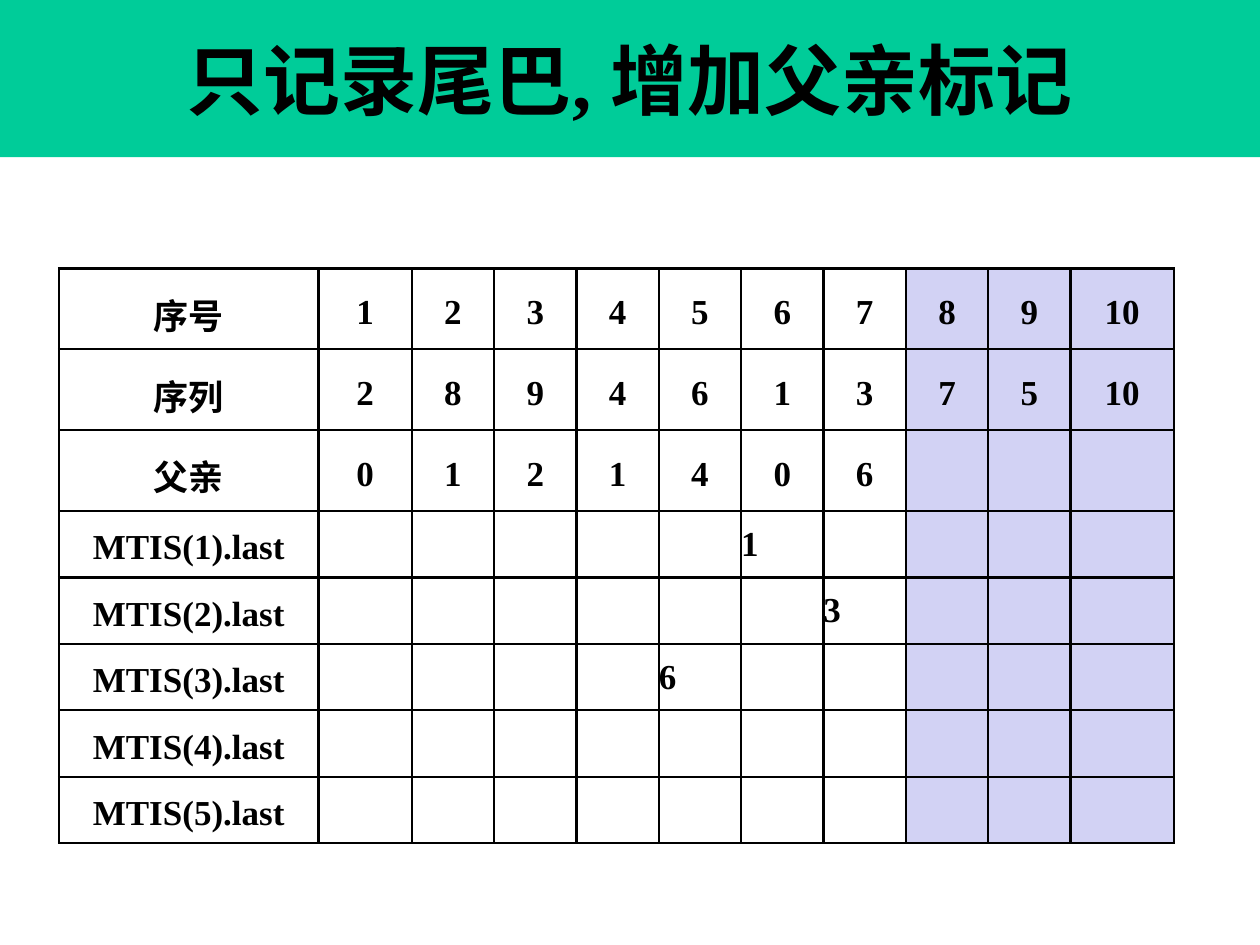
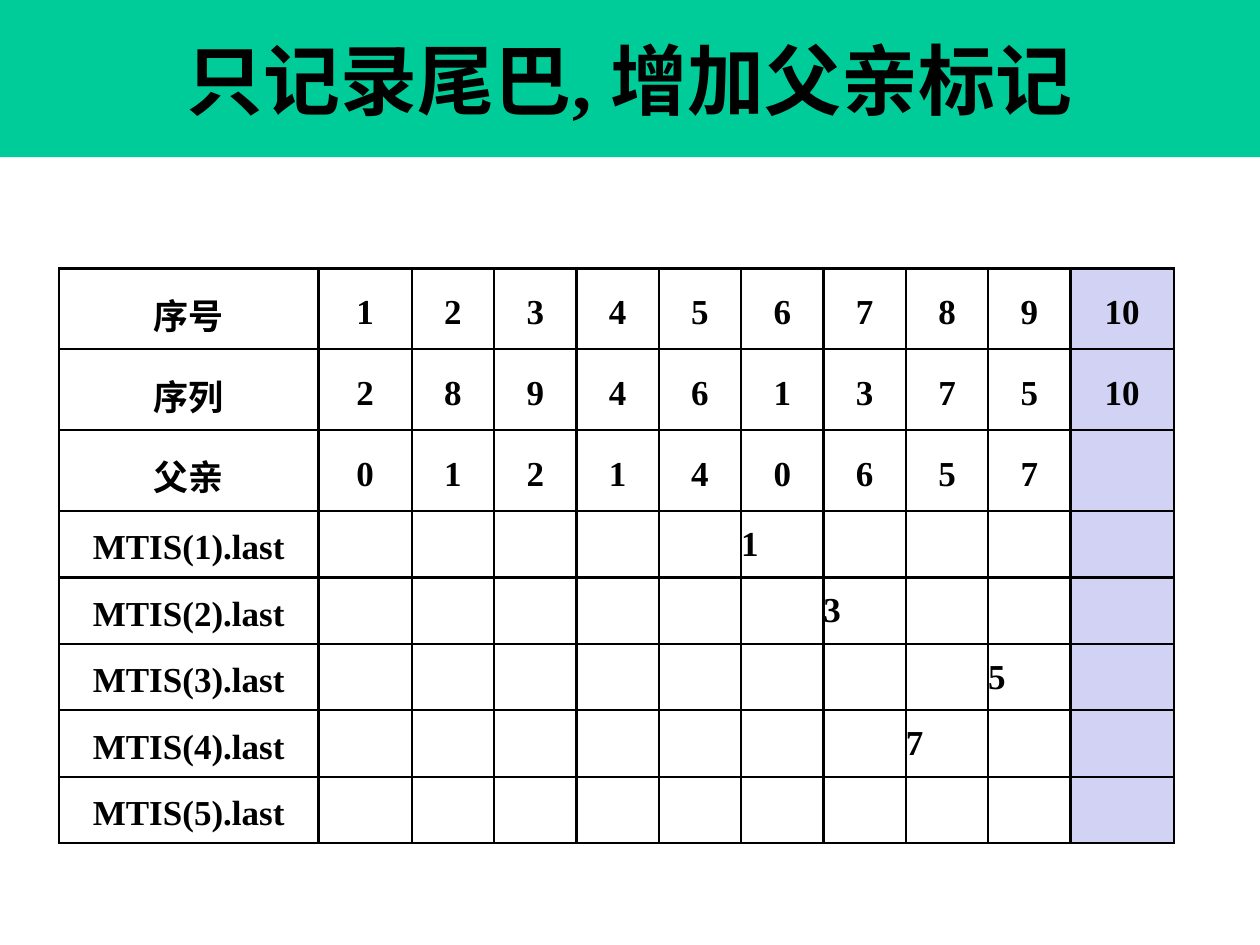
import pptx
import pptx.dml.color
import pptx.enum.shapes
import pptx.enum.text
import pptx.util
from lxml import etree
from pptx.oxml.ns import qn
from pptx.util import Cm

FONT = "Times New Roman"
BLACK = "000000"
BAND_GREEN = "00CC99"
PENDING_LILAC = "D2D2F4"
TITLE = "只记录尾巴, 增加父亲标记"
SEQUENCE = [2, 8, 9, 4, 6, 1, 3, 7, 5, 10]
PARENTS = [0, 1, 2, 1, 4, 0, 6, 5, 7]
HEADER_ROWS = ["序号", "序列", "父亲"]
TAIL_ROWS = 5
COLUMN_WIDTHS = [5.23, 1.88] + [1.66] * 8 + [2.08]
ROW_HEIGHTS = [1.63] * len(HEADER_ROWS) + [1.34] * TAIL_ROWS


def colour(value):
    """Turn a hex string into a colour."""
    return pptx.dml.color.RGBColor.from_string(value)


def write(frame, text, size=20, align="CENTER", spacing=None):
    """Put one bold line of text in a text frame."""
    para = frame.paragraphs[0]
    para.alignment = getattr(pptx.enum.text.PP_ALIGN, align)
    if spacing:
        para.line_spacing = spacing
    span = para.add_run()
    span.text = text
    span.font.name = FONT
    span.font.size = pptx.util.Pt(size)
    span.font.bold = True
    span.font.color.rgb = colour(BLACK)


def add_title_band(page, deck, text):
    """Draw the full-width green band with the slide title."""
    band = page.shapes.add_shape(
        pptx.enum.shapes.MSO_SHAPE.RECTANGLE, 0, 0, deck.slide_width, Cm(3.17))
    band.shadow.inherit = False
    band.fill.solid()
    band.fill.fore_color.rgb = colour(BAND_GREEN)
    band.line.fill.background()
    band.text_frame.word_wrap = True
    band.text_frame.vertical_anchor = pptx.enum.text.MSO_ANCHOR.MIDDLE
    write(band.text_frame, text, size=44)


def set_borders(cell):
    """Give a cell a black line on each side."""
    properties = cell._tc.get_or_add_tcPr()
    for side in ("lnL", "lnR", "lnT", "lnB"):
        line = etree.SubElement(properties, qn(f"a:{side}"), w=str(pptx.util.Pt(1.5)))
        fill = etree.SubElement(line, qn("a:solidFill"))
        etree.SubElement(fill, qn("a:srgbClr"), val=BLACK)


def format_cell(cell, pending):
    """Set the borders, margins and fill of a cell."""
    set_borders(cell)
    cell.margin_left = cell.margin_right = 0
    cell.margin_top = cell.margin_bottom = Cm(0.2)
    cell.vertical_anchor = pptx.enum.text.MSO_ANCHOR.MIDDLE
    if pending:
        cell.fill.solid()
        cell.fill.fore_color.rgb = colour(PENDING_LILAC)
    else:
        cell.fill.background()


def add_trace_table(page, done, tails):
    """Show the state after the first done numbers, with the position of each tail."""
    table = page.shapes.add_table(
        len(ROW_HEIGHTS), len(COLUMN_WIDTHS), Cm(1.19), Cm(5.41),
        Cm(sum(COLUMN_WIDTHS)), Cm(sum(ROW_HEIGHTS))).table
    table.first_row = table.horz_banding = False
    for column, width in zip(table.columns, COLUMN_WIDTHS):
        column.width = Cm(width)
    for row_index, height in enumerate(ROW_HEIGHTS):
        table.rows[row_index].height = Cm(height)
        for column_index in range(len(COLUMN_WIDTHS)):
            format_cell(table.cell(row_index, column_index), column_index > done)

    series = [range(1, len(SEQUENCE) + 1), SEQUENCE, PARENTS[:done]]
    for row_index, (label, values) in enumerate(zip(HEADER_ROWS, series)):
        for column_index, value in enumerate([label, *values]):
            frame = table.cell(row_index, column_index).text_frame
            write(frame, str(value), spacing=1.2)
    for number in range(1, TAIL_ROWS + 1):
        row_index = len(HEADER_ROWS) + number - 1
        write(table.cell(row_index, 0).text_frame, f"MTIS({number}).last", spacing=1.2)
    for row_index, position in enumerate(tails, len(HEADER_ROWS)):
        frame = table.cell(row_index, position).text_frame
        write(frame, str(SEQUENCE[position - 1]), align="LEFT")


def main():
    """Build the deck of two steps and save it."""
    deck = pptx.Presentation()
    deck.slide_width, deck.slide_height = Cm(25.4), Cm(19.05)
    for done, tails in [(7, [6, 7, 5]), (9, [6, 7, 9, 8])]:
        page = deck.slides.add_slide(deck.slide_layouts[6])
        add_title_band(page, deck, TITLE)
        add_trace_table(page, done, tails)
    deck.save("out.pptx")


if __name__ == "__main__":
    main()
